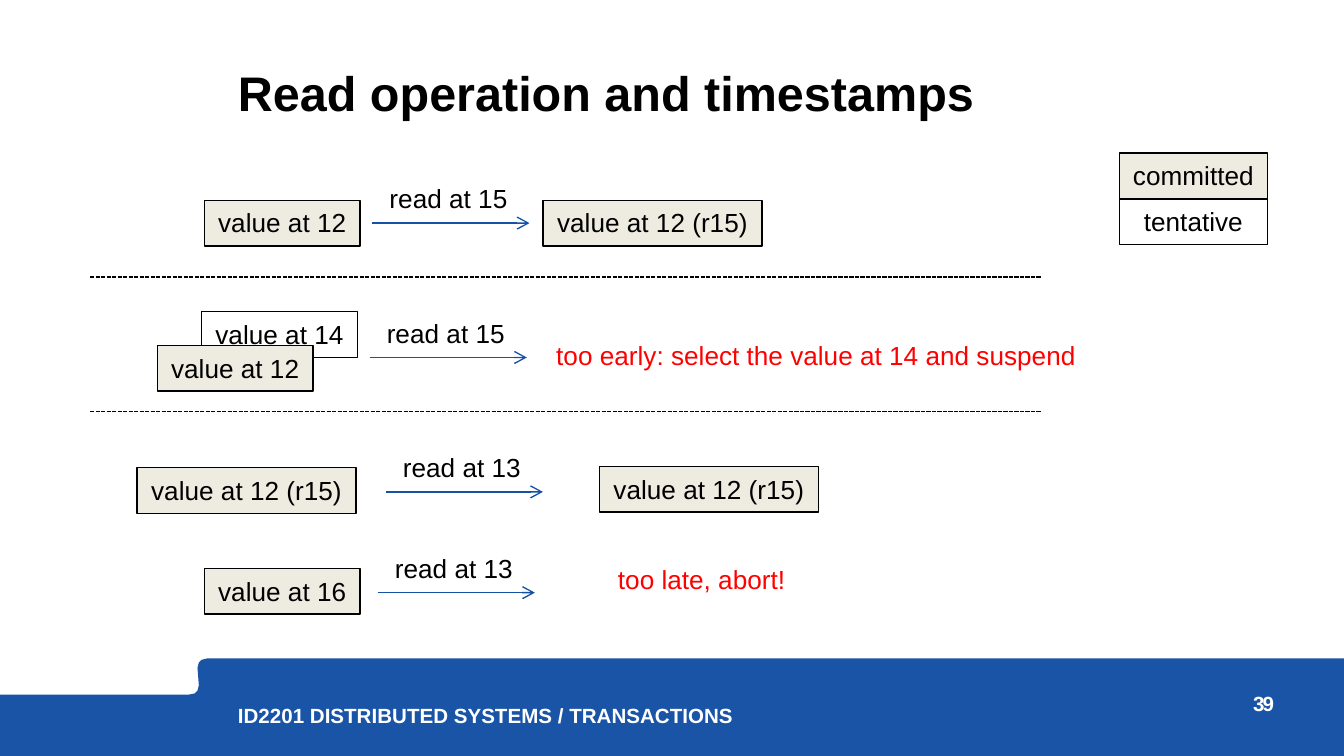
"""Build the slide on read operations and timestamps."""
from lxml.etree import SubElement
from pptx import Presentation
from pptx.dml.color import RGBColor
from pptx.enum.dml import MSO_LINE_DASH_STYLE as Dash
from pptx.enum.shapes import MSO_CONNECTOR as Connector, MSO_SHAPE as Shape
from pptx.enum.text import MSO_ANCHOR as Anchor, MSO_AUTO_SIZE as AutoSize, PP_ALIGN as Align
from pptx.oxml.ns import qn
from pptx.util import Inches, Pt

THEME = {
    "font": "Arial", "title": 26, "body": 14, "footer": 11, "line": 0.75,
    "black": "000000", "white": "FFFFFF", "red": "FF0000",
    "committed": "EEECE1", "arrow": "1552A6", "band": "1954A6",
}
PAGE_WIDTH = 10
PAGE_HEIGHT = PAGE_WIDTH * 9 / 16
BOX_HEIGHT = 0.34
ARROW_LENGTH = 1.17
LABEL_OFFSET = (0.03, -0.35)

TITLE = "Read operation and timestamps"
FOOTER = "ID2201 DISTRIBUTED SYSTEMS / TRANSACTIONS"
PAGE_NUMBER = "39"
VALUES = [
    ("value at 12", 1.52, 1.49, 1.16, "committed"),
    ("committed", 8.33, 1.14, 1.1, "committed"),
    ("tentative", 8.33, 1.48, 1.1, None),
    ("value at 12 (r15)", 4.04, 1.49, 1.63, "committed"),
    ("value at 14", 1.5, 2.32, 1.16, None),
    ("value at 12", 1.17, 2.57, 1.16, "committed"),
    ("value at 12 (r15)", 1.02, 3.48, 1.63, "committed"),
    ("value at 12 (r15)", 4.46, 3.47, 1.63, "committed"),
    ("value at 16", 1.52, 4.23, 1.16, "committed"),
]
READS = [
    ("read at 15", 2.77, 1.66),
    ("read at 15", 2.75, 2.66),
    ("read at 13", 2.87, 3.66),
    ("read at 13", 2.81, 4.41),
]
OUTCOMES = [
    ("too early: select the value at 14 and suspend", 4.04, 2.48, 4.08),
    ("too late, abort!", 4.5, 4.14, 1.5),
]
DIVIDERS = [2.06, 3.06]
BAND = [
    (1.54, 4.9), (PAGE_WIDTH, 4.9), (PAGE_WIDTH, PAGE_HEIGHT), (0, PAGE_HEIGHT),
    (0, 5.17), (1.4, 5.17), (1.45, 5.16), (1.47, 5.14), (1.48, 5.1),
    (1.47, 4.97), (1.48, 4.93), (1.5, 4.91),
]


def color(name):
    return RGBColor.from_string(THEME[name])


def write(shape, text, size="body", ink="black", bold=False, align=Align.LEFT,
          anchor=Anchor.TOP, spacing=None, wrap=False, insets=None):
    frame = shape.text_frame
    frame.auto_size = AutoSize.NONE
    frame.word_wrap = wrap
    frame.vertical_anchor = anchor
    if insets:
        side, top, bottom = map(Inches, insets)
        frame.margin_left = frame.margin_right = side
        frame.margin_top, frame.margin_bottom = top, bottom
    para = frame.paragraphs[0]
    para.alignment = align
    if spacing:
        para.line_spacing = Pt(spacing)
    span = para.add_run()
    span.text = text
    span.font.name = THEME["font"]
    span.font.size = Pt(THEME[size])
    span.font.bold = bold
    span.font.color.rgb = color(ink)
    return span


def add_text(page, text, left, top, width, height=BOX_HEIGHT, **style):
    box = page.shapes.add_textbox(*map(Inches, (left, top, width, height)))
    return write(box, text, **style)


def add_value(page, text, left, top, width, fill):
    box = page.shapes.add_shape(Shape.RECTANGLE, *map(Inches, (left, top, width, BOX_HEIGHT)))
    box.shadow.inherit = False
    if fill:
        box.fill.solid()
        box.fill.fore_color.rgb = color(fill)
    else:
        box.fill.background()
    box.line.color.rgb = color("black")
    box.line.width = Pt(THEME["line"])
    write(box, text, align=Align.CENTER)


def add_line(page, left, right, top, ink):
    line = page.shapes.add_connector(Connector.STRAIGHT, *map(Inches, (left, top, right, top)))
    line.line.color.rgb = color(ink)
    line.line.width = Pt(THEME["line"])
    SubElement(line._element.spPr, qn("a:effectLst"))
    return line


def add_read(page, text, left, top):
    arrow = add_line(page, left, left + ARROW_LENGTH, top, "arrow")
    SubElement(arrow.line._get_or_add_ln(), qn("a:tailEnd"), type="arrow")
    shift, rise = LABEL_OFFSET
    add_text(page, text, left + shift, top + rise, 1.1)


def add_band(page):
    points = [(Inches(x), Inches(y)) for x, y in BAND]
    builder = page.shapes.build_freeform(*points[0])
    builder.add_line_segments(points[1:], close=True)
    band = builder.convert_to_shape()
    band.shadow.inherit = False
    band.fill.solid()
    band.fill.fore_color.rgb = color("band")
    band.line.fill.background()


def main():
    deck = Presentation()
    deck.slide_width, deck.slide_height = Inches(PAGE_WIDTH), Inches(PAGE_HEIGHT)
    page = deck.slides.add_slide(deck.slide_layouts[5])

    add_band(page)
    title = page.shapes.title
    title.left, title.top, title.width, title.height = map(Inches, (1.77, 0.35, 7.59, 0.55))
    write(title, TITLE, size="title", bold=True, anchor=Anchor.BOTTOM,
          spacing=30, wrap=True, insets=(0, 0, 0))
    footer_style = dict(size="footer", ink="white", bold=True, wrap=True)
    number = add_text(page, PAGE_NUMBER, 8.94, 5.17, 0.54, 0.3, align=Align.RIGHT,
                      spacing=10.9, insets=(0, 0, 0), **footer_style)
    number.font._element.set("spc", "-100")
    add_text(page, FOOTER, 1.77, 5.22, 7.09, 0.3, spacing=9,
             insets=(0, 0.07, 0), **footer_style)

    for value in VALUES:
        add_value(page, *value)
    for read in READS:
        add_read(page, *read)
    for outcome in OUTCOMES:
        add_text(page, *outcome, ink="red")
    for top in DIVIDERS:
        add_line(page, 0.67, 7.75, top, "black").line.dash_style = Dash.SQUARE_DOT

    deck.save("out.pptx")


if __name__ == "__main__":
    main()
